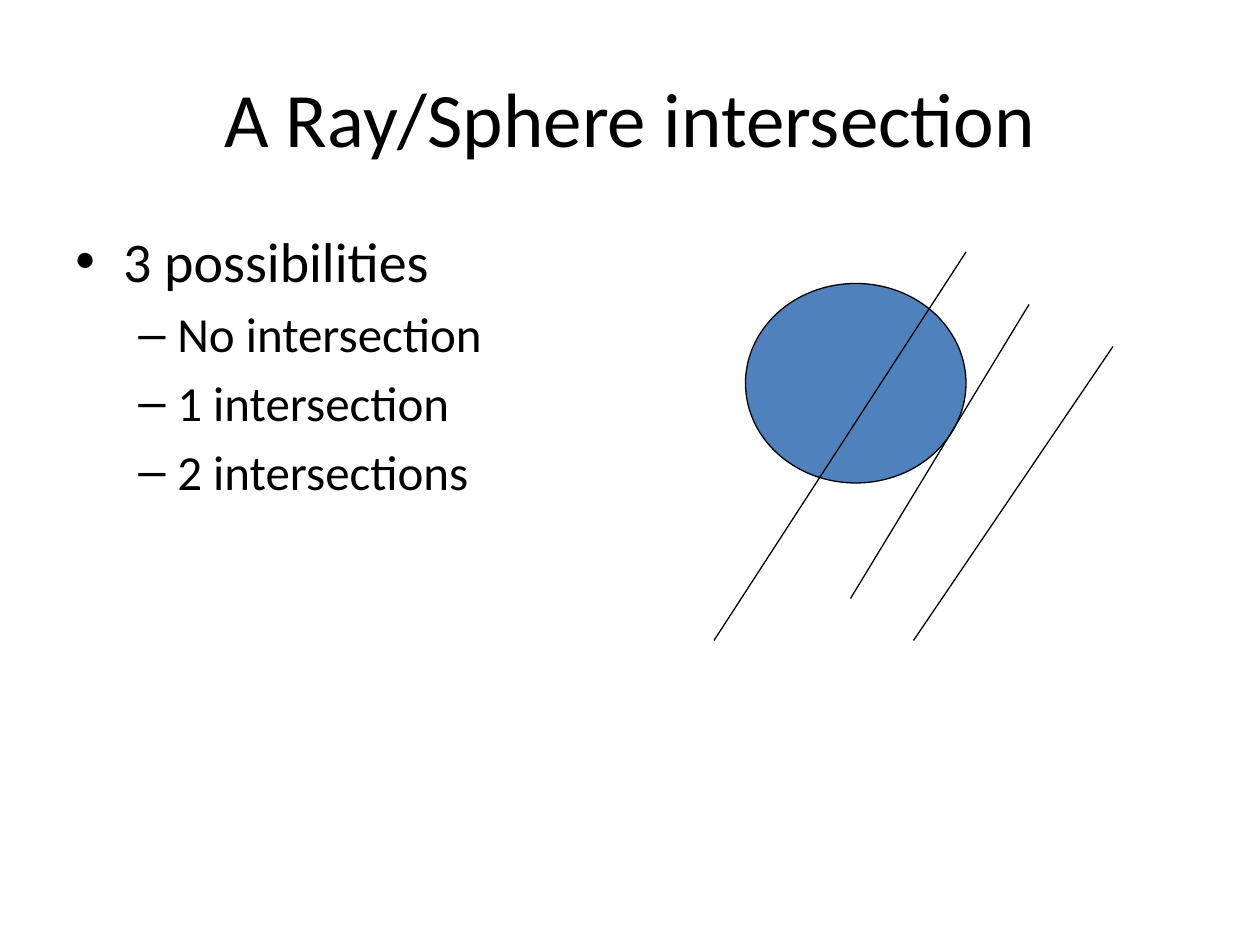
from lxml.etree import SubElement
from pptx import Presentation
from pptx.dml.color import RGBColor as Color
from pptx.enum.shapes import MSO_CONNECTOR as Connector, MSO_SHAPE as Shape
from pptx.enum.text import MSO_ANCHOR as Anchor, PP_ALIGN as Align
from pptx.oxml.ns import qn
from pptx.util import Inches, Pt

THEME = {
    "font": "Calibri",
    "ink": Color.from_string("000000"),
    "sphere": Color.from_string("4F81BD"),
    "title": Pt(44),
    "line": Pt(0.75),
    # size, left margin, hanging indent, bullet, space before
    "levels": [
        (Pt(32), Inches(0.38), Inches(-0.38), "•", Pt(0)),
        (Pt(28), Inches(0.81), Inches(-0.31), "–", Pt(5.6)),
    ],
}

deck = Presentation()
deck.slide_width, deck.slide_height = Inches(10), Inches(7.5)
page = deck.slides.add_slide(deck.slide_layouts[6])

# Square grid: 120 columns by 90 rows
CELL = deck.slide_width // 120


def add_text_box(column, row, columns, rows, anchor):
    box = page.shapes.add_textbox(column * CELL, row * CELL, columns * CELL, rows * CELL)
    frame = box.text_frame
    frame.word_wrap = True
    frame.vertical_anchor = anchor
    return frame


def style_font(font, size):
    font.name, font.size = THEME["font"], size
    font.color.rgb = THEME["ink"]


# Title
para = add_text_box(6, 3.6, 108, 15, Anchor.MIDDLE).paragraphs[0]
para.text = "A Ray/Sphere intersection"
para.alignment = Align.CENTER
style_font(para.font, THEME["title"])

# Bulleted list
body = add_text_box(6, 21, 108, 59.4, Anchor.TOP)
items = [
    (0, "3 possibilities"),
    (1, "No intersection"),
    (1, "1 intersection"),
    (1, "2 intersections"),
]
for index, (level, text) in enumerate(items):
    para = body.add_paragraph() if index else body.paragraphs[0]
    size, margin, indent, bullet, gap = THEME["levels"][level]
    para.text, para.level, para.space_before = text, level, gap
    properties = para._p.get_or_add_pPr()
    properties.set("marL", str(margin))
    properties.set("indent", str(indent))
    SubElement(properties, qn("a:buFont"), typeface="Arial")
    SubElement(properties, qn("a:buChar"), char=bullet)
    style_font(para.font, size)

# Sphere
sphere = page.shapes.add_shape(Shape.OVAL, 71 * CELL, 27 * CELL, 21 * CELL, 19 * CELL)
sphere.shadow.inherit = False
sphere.fill.solid()
sphere.fill.fore_color.rgb = THEME["sphere"]
sphere.line.color.rgb = THEME["ink"]
sphere.line.width = THEME["line"]

# Rays: missing, touching and crossing the sphere
rays = [(87, 61, 106, 33), (81, 57, 98, 29), (92, 24, 68, 61)]
for ends in rays:
    ray = page.shapes.add_connector(Connector.STRAIGHT, *(end * CELL for end in ends))
    ray.line.color.rgb = THEME["ink"]
    ray.line.width = THEME["line"]
    SubElement(ray._element.spPr, qn("a:effectLst"))

deck.save("out.pptx")
